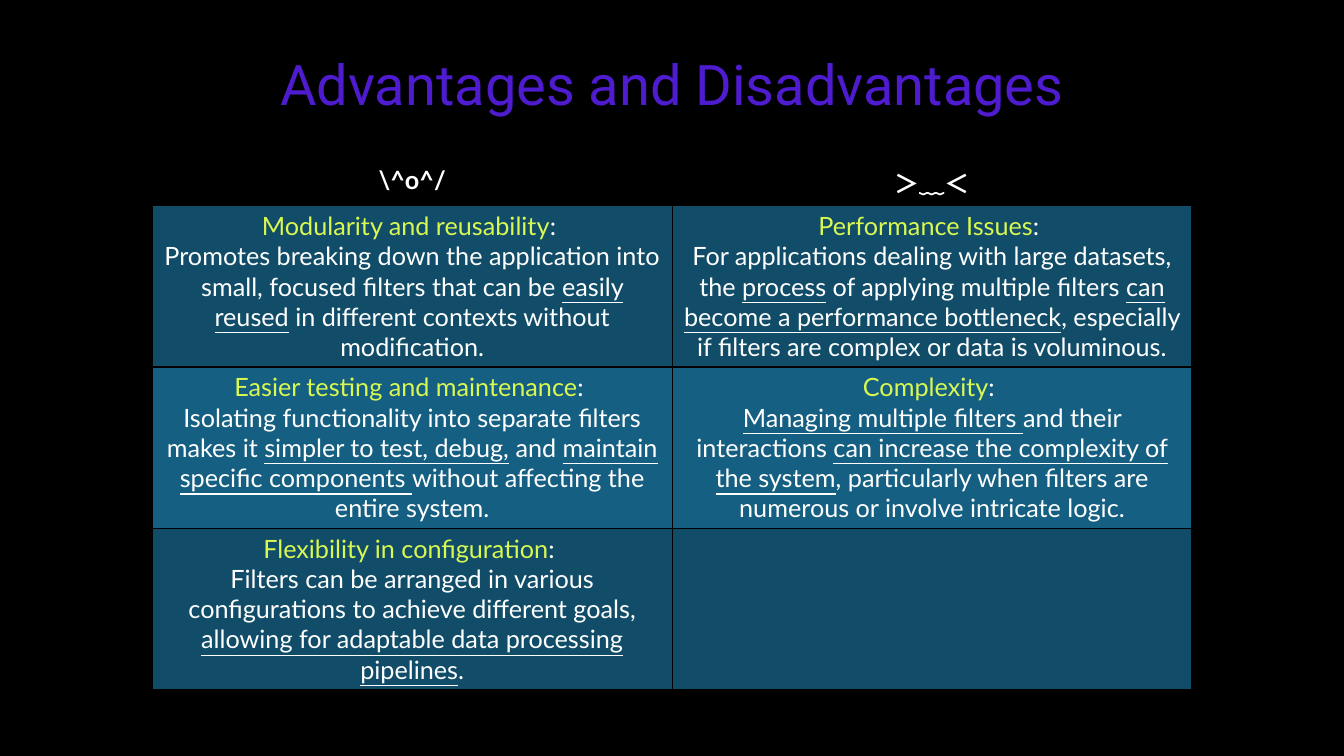
import pptx
import pptx.dml.color
import pptx.enum.text
import pptx.oxml
import pptx.oxml.ns
import pptx.util

RGBColor = pptx.dml.color.RGBColor
BLACK = RGBColor(0x00, 0x00, 0x00)
WHITE = RGBColor(0xFF, 0xFF, 0xFF)
VIOLET = RGBColor(0x4E, 0x1B, 0xCF)
LIME = RGBColor(0xD9, 0xF8, 0x52)
DARK_TEAL = RGBColor(0x11, 0x4D, 0x68)
TEAL = RGBColor(0x15, 0x60, 0x82)

HEADERS = ["\\^o^/", "＞﹏＜"]
# Each point is a heading and a body; underscores enclose underlined words.
POINTS = [
    [("Modularity and reusability",
      "Promotes breaking down the application into small, focused filters that can be "
      "_easily reused_ in different contexts without modification."),
     ("Performance Issues",
      "For applications dealing with large datasets, the _process_ of applying multiple filters "
      "_can become a performance bottleneck_, especially if filters are complex or data is voluminous.")],
    [("Easier testing and maintenance",
      "Isolating functionality into separate filters makes it _simpler to test, debug,_ and "
      "_maintain specific components _without affecting the entire system."),
     ("Complexity",
      "_Managing multiple filters _and their interactions _can increase the complexity of the system_"
      ", particularly when filters are numerous or involve intricate logic.")],
    [("Flexibility in configuration",
      "Filters can be arranged in various configurations to achieve different goals, "
      "_allowing for adaptable data processing pipelines_."),
     None],
]


def add_text(p, text, size=18, font="Lato", color=WHITE, bold=False):
    """Append centred text, underlining whatever stands between underscores."""
    p.alignment = pptx.enum.text.PP_ALIGN.CENTER
    for i, part in enumerate(text.split("_")):
        if part:
            r = p.add_run()
            r.text = part
            r.font.size = pptx.util.Pt(size)
            r.font.name = font
            r.font.color.rgb = color
            r.font.bold = bold
            r.font.underline = i % 2 == 1


class Deck:
    """Holds the current slide; lengths are percentages of its size."""

    def __init__(self):
        self.prs = pptx.Presentation()
        self.prs.slide_width = pptx.util.Inches(13.33)
        self.prs.slide_height = pptx.util.Inches(7.5)
        self.s = self.prs.slides.add_slide(self.prs.slide_layouts[6])
        self.s.background.fill.solid()
        self.s.background.fill.fore_color.rgb = BLACK

    def x(self, share):
        return round(self.prs.slide_width * share / 100)

    def y(self, share):
        return round(self.prs.slide_height * share / 100)

    def title(self, text, left, top, width, height):
        sp = self.s.shapes.add_textbox(self.x(left), self.y(top), self.x(width), self.y(height))
        tf = sp.text_frame
        tf.word_wrap = True
        tf.vertical_anchor = pptx.enum.text.MSO_ANCHOR.MIDDLE
        p = tf.paragraphs[0]
        p.line_spacing = 0.9
        add_text(p, text, size=40, font="Roboto", color=VIOLET)

    def table(self, left, top, width, row_heights, columns):
        frame = self.s.shapes.add_table(len(row_heights), columns, self.x(left), self.y(top),
                                        self.x(width), self.y(sum(row_heights)))
        for row, height in zip(frame.table.rows, row_heights):
            row.height = self.y(height)
        return frame.table

    def style_cell(self, cell, fill):
        tc_pr = cell._tc.get_or_add_tcPr()
        for side in "LRTB":
            tc_pr.append(pptx.oxml.parse_xml(
                f'<a:ln{side} {pptx.oxml.ns.nsdecls("a")} w="12700">'
                f'<a:solidFill><a:srgbClr val="{BLACK}"/></a:solidFill></a:ln{side}>'))
        cell.fill.solid()
        cell.fill.fore_color.rgb = fill


def main():
    deck = Deck()
    deck.title("Advantages and Disadvantages", 14, 2, 72, 19)

    table = deck.table(11.33, 21.07, 77.36, [6.13] + [21.1] * len(POINTS), len(HEADERS))
    for col, face in enumerate(HEADERS):
        cell = table.cell(0, col)
        deck.style_cell(cell, BLACK)
        add_text(cell.text_frame.paragraphs[0], face, bold=True)

    for row, points in enumerate(POINTS, start=1):
        for col, point in enumerate(points):
            cell = table.cell(row, col)
            deck.style_cell(cell, DARK_TEAL if row % 2 else TEAL)
            if point:
                heading, body = point
                p = cell.text_frame.paragraphs[0]
                add_text(p, heading, color=LIME)
                add_text(p, ": ")
                add_text(cell.text_frame.add_paragraph(), body)

    deck.prs.save("out.pptx")


if __name__ == "__main__":
    main()
